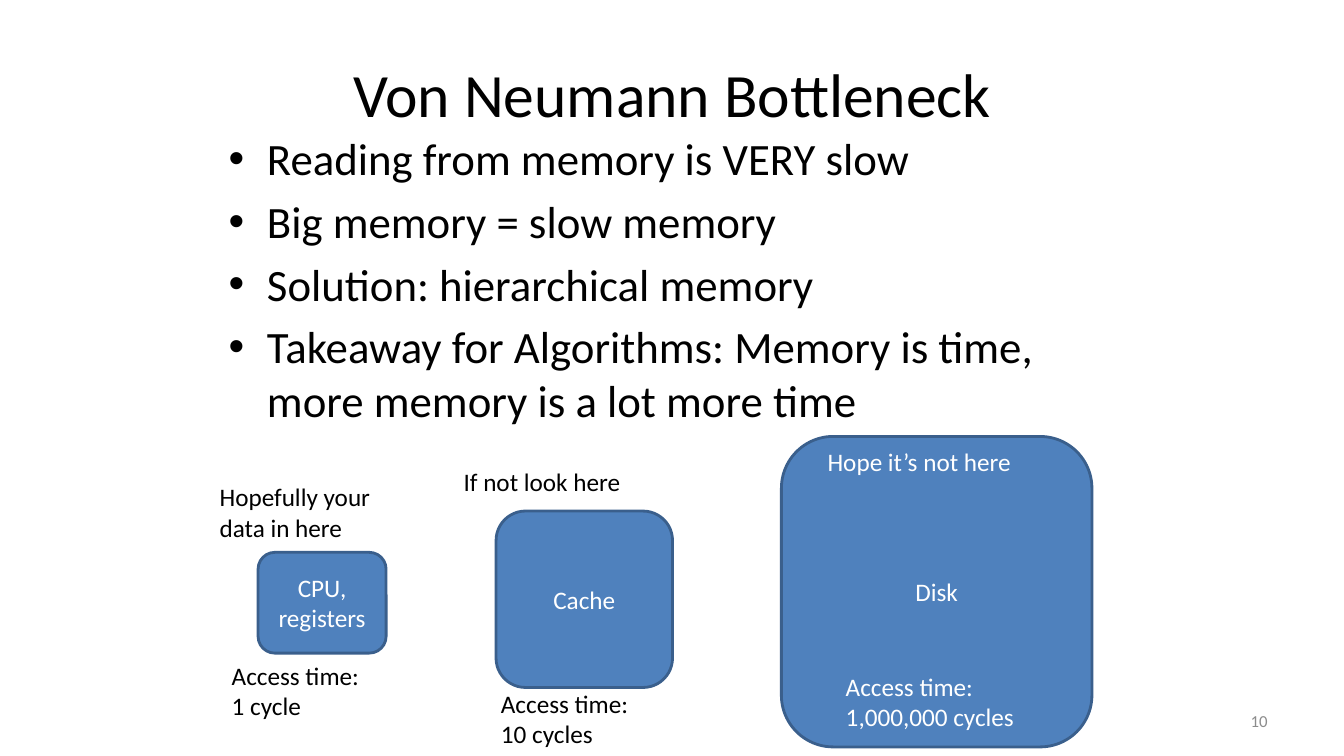
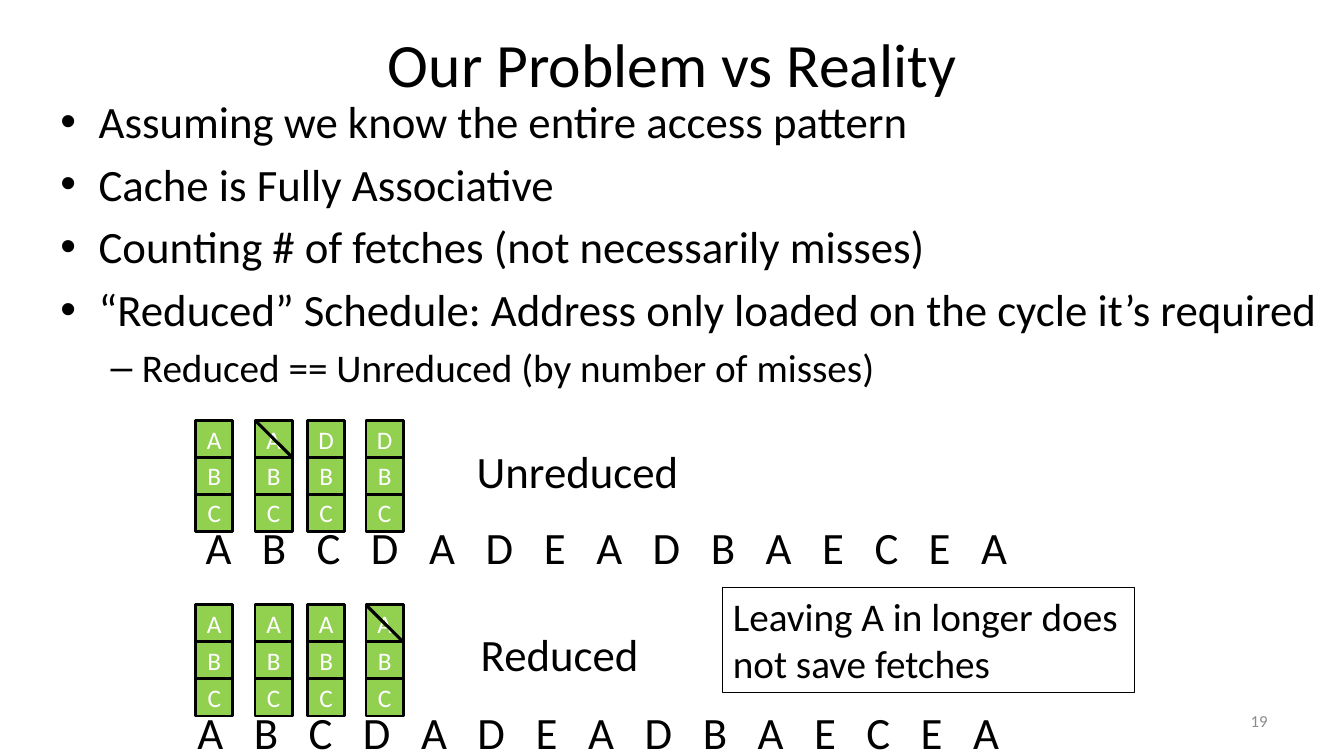
from itertools import accumulate
from lxml.etree import SubElement
from pptx import Presentation
from pptx.dml.color import RGBColor
from pptx.enum.shapes import MSO_CONNECTOR, MSO_SHAPE
from pptx.enum.text import MSO_ANCHOR, PP_ALIGN
from pptx.oxml.ns import qn
from pptx.util import Inches, Pt

FONT = "Calibri"
COLORS = {
    "text": "000000",
    "light": "FFFFFF",
    "number": "8C8C8C",
    "memory": "4F81BD",
    "memory_line": "3A5F8C",
    "cell": "92D050",
}
BULLETS = [("•", 0.38, 0.38, 32), ("–", 0.81, 0.31, 28)]
CELL = 0.37
PITCH = 0.3667
COLUMNS = [1.94, 2.53, 3.05, 3.63]
ACCESSES = "ABCDADEADBAECEA"
LETTER_EM = {"A": 0.58, "B": 0.54, "C": 0.53, "D": 0.62, "E": 0.49}
GAP_EM = 0.68


def rgb(name):
    return RGBColor.from_string(COLORS[name])


def inches(box):
    return [Inches(v) for v in box]


def write(tf, text, size=18, color="text", align=PP_ALIGN.LEFT, anchor=MSO_ANCHOR.TOP):
    tf.word_wrap = True
    tf.vertical_anchor = anchor
    for i, line in enumerate(text.split("\n")):
        p = tf.paragraphs[0] if i == 0 else tf.add_paragraph()
        p.alignment = align
        r = p.add_run()
        r.text = line
        r.font.name = FONT
        r.font.size = Pt(size)
        r.font.color.rgb = rgb(color)
    return tf


def add_text(s, box, text, **fmt):
    return write(s.shapes.add_textbox(*inches(box)).text_frame, text, **fmt)


def add_box(shapes, kind, box, text, fill, line, width=2, **fmt):
    sp = shapes.add_shape(kind, *inches(box))
    sp.shadow.inherit = False
    if fill:
        sp.fill.solid()
        sp.fill.fore_color.rgb = rgb(fill)
    else:
        sp.fill.background()
    sp.line.color.rgb = rgb(line)
    sp.line.width = Pt(width)
    write(sp.text_frame, text, **fmt)
    return sp


def add_bullets(s, box, items):
    tf = add_text(s, box, "\n".join(text for text, level in items))
    for p, (text, level) in zip(tf.paragraphs, items):
        char, left, hang, size = BULLETS[level]
        p.level = level
        p.space_before = Pt(size * 0.2)
        p.runs[0].font.size = Pt(size)
        pPr = p._p.get_or_add_pPr()
        pPr.set("marL", str(Inches(left)))
        pPr.set("indent", str(-Inches(hang)))
        SubElement(pPr, qn("a:buFont"), typeface="Arial")
        SubElement(pPr, qn("a:buChar"), char=char)


def add_slide(prs, title, title_box, number, bullet_box, bullets):
    s = prs.slides.add_slide(prs.slide_layouts[6])
    add_text(s, title_box, title, size=44, align=PP_ALIGN.CENTER, anchor=MSO_ANCHOR.MIDDLE)
    add_bullets(s, bullet_box, bullets)
    add_text(s, (9.56, 6.95, 3.11, 0.4), number, size=12, color="number",
             align=PP_ALIGN.RIGHT, anchor=MSO_ANCHOR.MIDDLE)
    return s


def add_memory(s, box, name, hint, hint_box, cycles, cycles_at, color="text"):
    left, top = box[:2]
    add_box(s.shapes, MSO_SHAPE.ROUNDED_RECTANGLE, box, name, "memory", "memory_line",
            color="light", align=PP_ALIGN.CENTER, anchor=MSO_ANCHOR.MIDDLE)
    dx, dy, w, h = hint_box
    add_text(s, (left + dx, top + dy, w, h), hint, color=color)
    dx, dy = cycles_at
    add_text(s, (left + dx, top + dy, 2, 0.71), f"Access time:\n{cycles}", color=color)


def add_cache(s, left, top, letters):
    group = s.shapes.add_group_shape()
    for row, letter in enumerate(letters):
        add_box(group.shapes, MSO_SHAPE.RECTANGLE, (left, top + row * PITCH, CELL, CELL),
                letter, "cell", "text", color="light", align=PP_ALIGN.CENTER,
                anchor=MSO_ANCHOR.MIDDLE)


def add_strike(s, left, top):
    line = s.shapes.add_connector(MSO_CONNECTOR.STRAIGHT,
                                  *inches((left, top, left + CELL, top + CELL)))
    line.line.color.rgb = rgb("text")
    line.line.width = Pt(2.25)
    SubElement(line._element.spPr, qn("a:effectLst"))


def add_accesses(s, left, top, size=32):
    tf = add_text(s, (left, top, 8.5, 0.56), "\t".join(ACCESSES), size=size)
    tabs = SubElement(tf.paragraphs[0]._p.get_or_add_pPr(), qn("a:tabLst"))
    steps = [(LETTER_EM[c] + GAP_EM) * size / 72 for c in ACCESSES[:-1]]
    for stop in accumulate(steps):
        SubElement(tabs, qn("a:tab"), pos=str(Inches(stop)), algn="l")


def add_schedule(s, top, name, name_at, caches, struck, accesses_at):
    for left, letters in zip(COLUMNS, caches):
        add_cache(s, left, top, letters)
    add_strike(s, COLUMNS[struck], top)
    dx, dy = name_at
    add_text(s, (dx, top + dy, 2.5, 0.64), name, size=32)
    dx, dy = accesses_at
    add_accesses(s, dx, top + dy)


def bottleneck_slide(prs):
    s = add_slide(prs, "Von Neumann Bottleneck", (0.67, 0.3, 12, 1.25), "10",
                  (2.17, 1.25, 9, 3.33), [
                      ("Reading from memory is VERY slow", 0),
                      ("Big memory = slow memory", 0),
                      ("Solution: hierarchical memory", 0),
                      ("Takeaway for Algorithms: Memory is time, more memory is a lot more time", 0),
                  ])
    add_memory(s, (2.56, 5.48, 1.27, 1), "CPU, registers", "Hopefully your data in here",
               (-0.48, -0.75, 2, 0.71), "1 cycle", (-0.36, 1.02))
    add_memory(s, (4.92, 5.07, 1.75, 1.75), "Cache", "If not look here",
               (-0.42, -0.49, 2, 0.4), "10 cycles", (-0.05, 1.71))
    add_memory(s, (7.75, 4.33, 3.08, 3.08), "Disk", "Hope it’s not here",
               (0.36, 0.05, 2.17, 0.4), "1,000,000 cycles", (0.54, 2.28), color="light")


def reality_slide(prs):
    s = add_slide(prs, "Our Problem vs Reality", (2.17, 0, 9, 1.25), "19",
                  (0.5, 0.88, 12.83, 4.95), [
                      ("Assuming we know the entire access pattern", 0),
                      ("Cache is Fully Associative", 0),
                      ("Counting # of fetches (not necessarily misses)", 0),
                      ("“Reduced” Schedule: Address only loaded on the cycle it’s required", 0),
                      ("Reduced == Unreduced (by number of misses)", 1),
                  ])
    add_schedule(s, 4.17, "Unreduced", (4.63, 0.18), ["ABC", "ABC", "DBC", "DBC"], 1, (1.94, 0.94))
    add_schedule(s, 6, "Reduced", (4.67, 0.17), ["ABC"] * 4, 3, (1.86, 0.94))
    add_box(s.shapes, MSO_SHAPE.RECTANGLE, (7.17, 5.83, 4.08, 1.04),
            "Leaving A in longer does not save fetches", None, "text", width=0.75, size=28)


def main():
    prs = Presentation()
    prs.slide_width, prs.slide_height = inches((13.33, 7.5))
    bottleneck_slide(prs)
    reality_slide(prs)
    prs.save("out.pptx")


if __name__ == "__main__":
    main()
